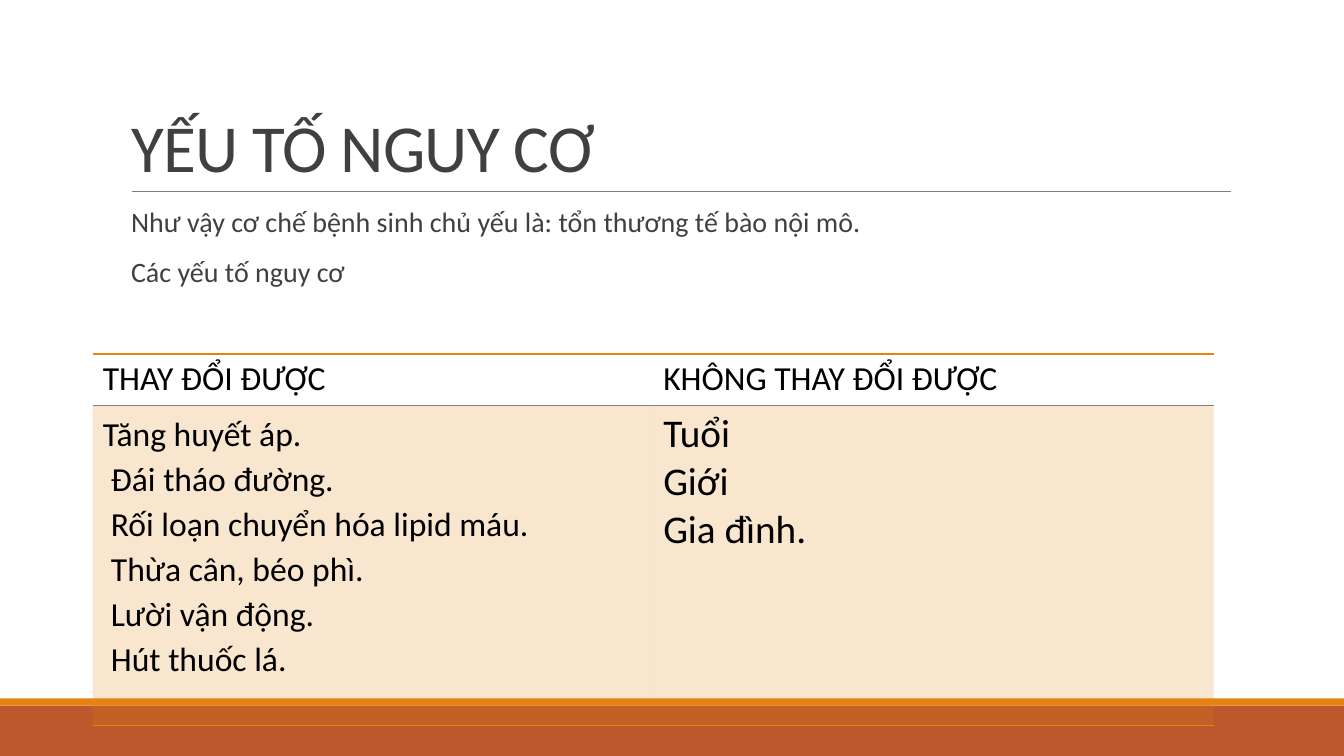
"""Build the risk factor slide: title, two lines of text and a two-column table."""
from lxml import etree
from pptx import Presentation
from pptx import util as u
from pptx.dml.color import RGBColor
from pptx.enum import shapes, text
from pptx.oxml.ns import qn

COLORS = {"orange": "E48312", "rust": "BD582C", "grey": "808080",
          "dark": "404040", "black": "000000"}
FONT = "Calibri"
WIDTH, HEIGHT = u.Inches(13.333), u.Inches(7.5)
LEFT, CONTENT_WIDTH = u.Inches(1.2), u.Inches(11)
RULE_Y = u.Inches(1.9)


def style(para, size, color, indent=0):
    properties = para._p.get_or_add_pPr()
    properties.set("marL", str(u.Inches(indent)))
    properties.set("indent", "0")
    etree.SubElement(properties, qn("a:buNone"))
    para.alignment = text.PP_ALIGN.LEFT
    para.font.name = FONT
    para.font.size = u.Pt(size)
    para.font.color.rgb = RGBColor.from_string(COLORS[color])


def add_border(cell, side, color, width):
    line = etree.Element(qn(f"a:{side}"), w=str(u.Pt(width)))
    fill = etree.SubElement(line, qn("a:solidFill"))
    etree.SubElement(fill, qn("a:srgbClr"), val=COLORS[color])
    properties = cell._tc.get_or_add_tcPr()
    properties.insert(len(properties.findall(qn("a:lnT"))), line)


deck = Presentation()
deck.slide_width, deck.slide_height = WIDTH, HEIGHT
page = deck.slides.add_slide(deck.slide_layouts[1])

for top, height, color in [(7, 0.5, "rust"), (6.93, 0.07, "orange")]:
    bar = page.shapes.add_shape(shapes.MSO_SHAPE.RECTANGLE, 0, u.Inches(top),
                                WIDTH, u.Inches(height))
    bar.shadow.inherit = False
    bar.fill.solid()
    bar.fill.fore_color.rgb = RGBColor.from_string(COLORS[color])
    bar.line.fill.background()

rule = page.shapes.add_connector(shapes.MSO_CONNECTOR.STRAIGHT,
                                 u.Inches(1.31), RULE_Y, u.Inches(12.21), RULE_Y)
rule.line.color.rgb = RGBColor.from_string(COLORS["grey"])
rule.line.width = u.Pt(0.5)
etree.SubElement(rule._element.spPr, qn("a:effectLst"))

title, body = page.placeholders
for box, top, height in [(title, 0.31, 1.59), (body, 2.02, 4.4)]:
    box.left, box.top = LEFT, u.Inches(top)
    box.width, box.height = CONTENT_WIDTH, u.Inches(height)
    box.text_frame.word_wrap = True
    box.text_frame.auto_size = text.MSO_AUTO_SIZE.NONE

title.text_frame.text = "YẾU TỐ NGUY CƠ"
title.text_frame.vertical_anchor = text.MSO_ANCHOR.BOTTOM
heading = title.text_frame.paragraphs[0]
style(heading, 48, "dark")
heading.line_spacing = 0.85
heading.runs[0].font._element.set("spc", "-50")

body.text_frame.text = ("Như vậy cơ chế bệnh sinh chủ yếu là: tổn thương tế bào nội mô.\n"
                        "Các yếu tố nguy cơ")
body.text_frame.margin_left = body.text_frame.margin_right = 0
for index, para in enumerate(body.text_frame.paragraphs):
    style(para, 20, "dark", 0.1)
    para.line_spacing = 0.9
    para.space_before = u.Pt(12 if index else 0)
    para.space_after = u.Pt(2)

FACTORS = [
    ("THAY ĐỔI ĐƯỢC", 24, 1.1,
     ["Tăng huyết áp.", "Đái tháo đường.", "Rối loạn chuyển hóa lipid máu.",
      "Thừa cân, béo phì.", "Lười vận động.", "Hút thuốc lá."]),
    ("KHÔNG THAY ĐỔI ĐƯỢC", 28, 1.0, ["Tuổi", "Giới", "Gia đình."]),
]
frame = page.shapes.add_table(2, len(FACTORS), u.Inches(0.92), u.Inches(3.51),
                              u.Inches(11.12), u.Inches(3.69))
table = frame.table
table.first_row = table.horz_banding = False
table._tbl.tblPr.find(qn("a:tableStyleId")).text = "{2D5ABB26-0587-4C30-8999-92F81FD0307C}"
table.rows[0].height, table.rows[1].height = u.Inches(0.51), u.Inches(3.18)

for column, (label, size, spacing, items) in enumerate(FACTORS):
    header, factors = table.cell(0, column), table.cell(1, column)
    header.text = label
    style(header.text_frame.paragraphs[0], 24, "black")
    header.fill.background()
    add_border(header, "lnT", "orange", 1.5)
    add_border(header, "lnB", "grey", 0.5)

    factors.text = "\n".join(items)
    for index, para in enumerate(factors.text_frame.paragraphs):
        style(para, size, "black", 0.08 if index and column == 0 else 0)
        para.line_spacing = spacing
    factors.fill.solid()
    factors.fill.fore_color.rgb = RGBColor.from_string(COLORS["orange"])
    shade = factors._tc.tcPr.find(qn("a:solidFill")).find(qn("a:srgbClr"))
    etree.SubElement(shade, qn("a:alpha"), val="20000")
    add_border(factors, "lnT", "grey", 0.5)
    add_border(factors, "lnB", "orange", 1)

deck.save("out.pptx")
